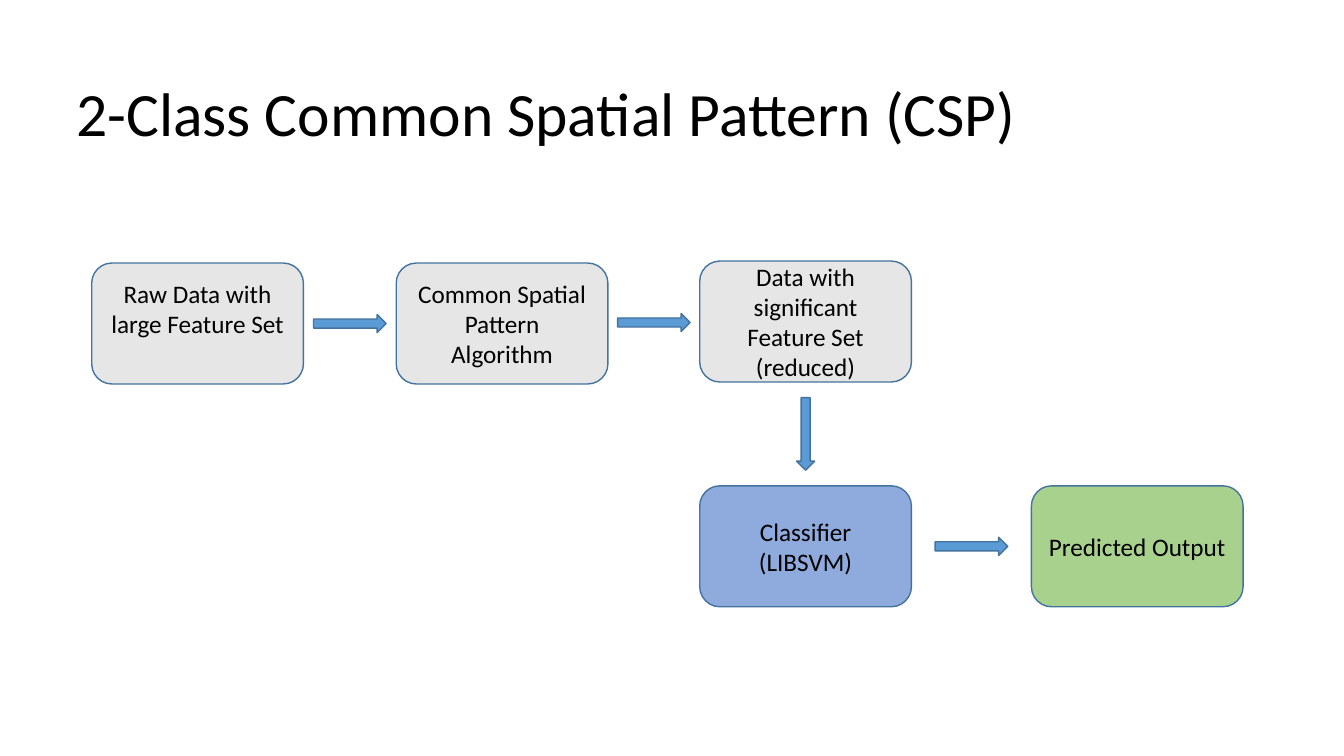
from pptx import Presentation
from pptx.dml.color import RGBColor
from pptx.enum.shapes import MSO_SHAPE as Shape
from pptx.enum.text import MSO_ANCHOR as Anchor, PP_ALIGN as Align
from pptx.util import Inches, Pt

COLORS = {"text": "000000", "outline": "43739E", "arrow": "5B9BD5",
          "data": "E7E6E6", "classifier": "8FAADC", "output": "A9D18E"}
BOX_WIDTH, BOX_HEIGHT = 2.1, 1.2
ARROW_LENGTH, ARROW_HEIGHT = 0.72, 0.18

deck = Presentation()
deck.slide_width, deck.slide_height = Inches(13.33), Inches(7.5)
page = deck.slides.add_slide(deck.slide_layouts[6])


def add_block(kind, left, top, width, height, color):
    block = page.shapes.add_shape(kind, Inches(left), Inches(top), Inches(width), Inches(height))
    block.shadow.inherit = False
    block.fill.solid()
    block.fill.fore_color.rgb = RGBColor.from_string(COLORS[color])
    block.line.color.rgb = RGBColor.from_string(COLORS["outline"])
    block.line.width = Pt(1)
    return block


def style_text(para, size):
    para.font.size = Pt(size)
    for span in para.runs:
        span.font.size = Pt(size)
        span.font.name = "Calibri"
        span.font.color.rgb = RGBColor.from_string(COLORS["text"])


# Title
title = page.shapes.add_textbox(Inches(0.66), Inches(0.78), Inches(11.5), Inches(1.45))
title.text_frame.word_wrap = True
title.text_frame.text = "2-Class Common Spatial Pattern (CSP)"
title.text_frame.paragraphs[0].line_spacing = 0.9
style_text(title.text_frame.paragraphs[0], 44)

# Process steps: left, top, color, bottom inset, text
steps = [
    (0.91, 2.61, "data", 0.35, "Raw Data with large Feature Set"),
    (3.93, 2.61, "data", 0.05, "Common Spatial Pattern Algorithm"),
    (6.94, 2.59, "data", 0.05, "Data with significant Feature Set (reduced)"),
    (6.94, 4.82, "classifier", 0.05, "Classifier\n(LIBSVM)"),
    (10.23, 4.82, "output", 0.05, "Predicted Output"),
]
for left, top, color, bottom_inset, text in steps:
    box = add_block(Shape.ROUNDED_RECTANGLE, left, top, BOX_WIDTH, BOX_HEIGHT, color)
    frame = box.text_frame
    frame.word_wrap = True
    frame.vertical_anchor = Anchor.MIDDLE
    frame.margin_bottom = Inches(bottom_inset)
    frame.text = text
    for para in frame.paragraphs:
        para.alignment = Align.CENTER
        style_text(para, 18)

# Arrows, each halfway between two consecutive steps
for (left, top, *_), (next_left, next_top, *_) in zip(steps, steps[1:]):
    center_x = (left + next_left + BOX_WIDTH) / 2
    center_y = (top + next_top + BOX_HEIGHT) / 2
    arrow = add_block(Shape.RIGHT_ARROW, center_x - ARROW_LENGTH / 2, center_y - ARROW_HEIGHT / 2,
                      ARROW_LENGTH, ARROW_HEIGHT, "arrow")
    if left == next_left:
        arrow.rotation = 90

deck.save("out.pptx")
